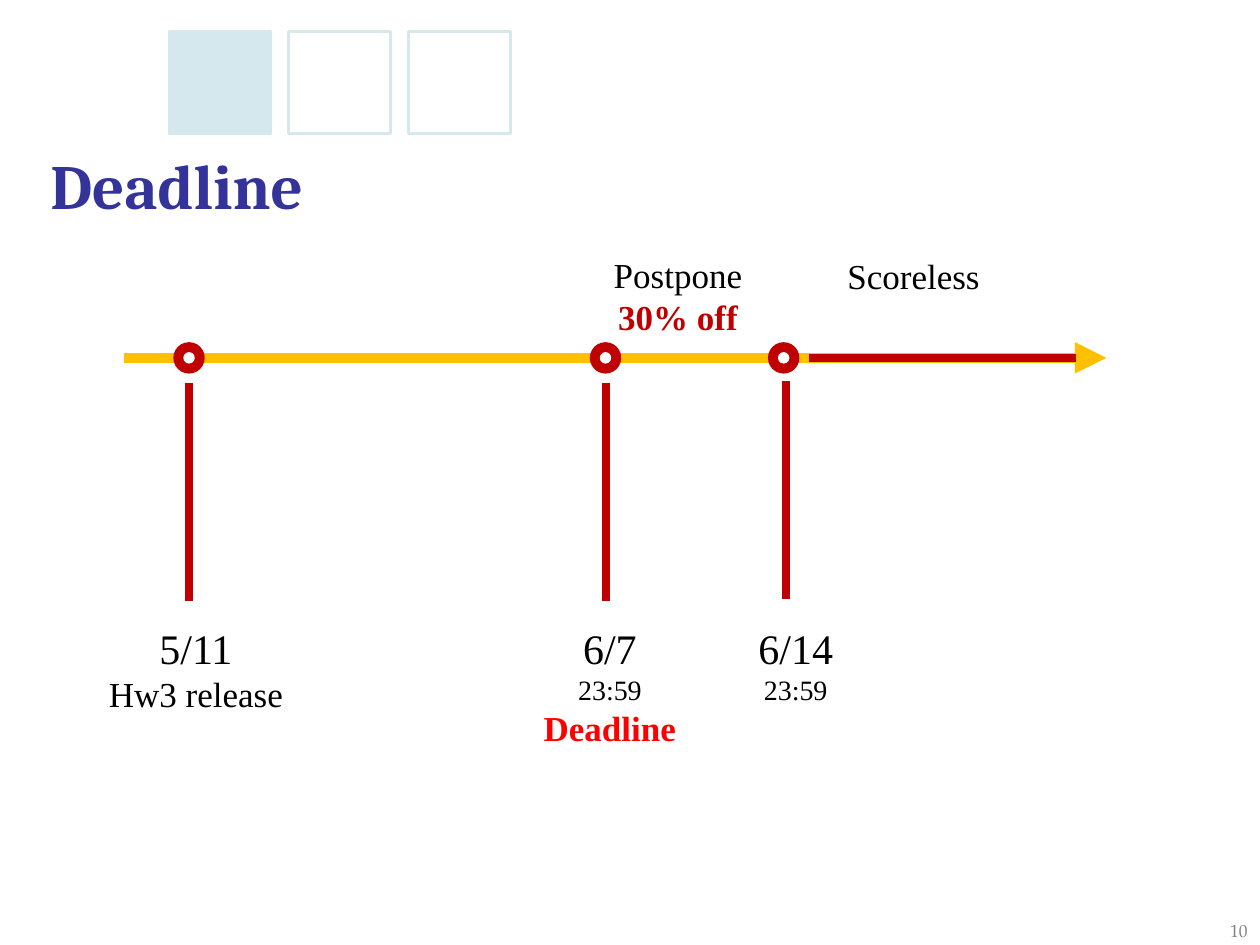
from copy import deepcopy

from lxml.etree import SubElement
from pptx import Presentation
from pptx.dml.color import RGBColor
from pptx.enum.shapes import MSO_CONNECTOR as CONN, MSO_SHAPE as SHAPE
from pptx.enum.text import MSO_ANCHOR as ANCHOR, PP_ALIGN as ALIGN
from pptx.oxml.ns import qn
from pptx.util import Pt

PALE = RGBColor(0xD5, 0xE8, 0xEE)
NAVY = RGBColor(0x33, 0x33, 0x99)
GRAY = RGBColor(0x80, 0x80, 0x80)
GOLD = RGBColor(0xFF, 0xC0, 0x00)
DARK_RED = RGBColor(0xC0, 0x00, 0x00)
RED = RGBColor(0xFF, 0x00, 0x00)
BLACK = RGBColor(0x00, 0x00, 0x00)
WHITE = RGBColor(0xFF, 0xFF, 0xFF)

TITLE_FONT = "Cambria"
NUMBER_FONT = "TeX Gyre Pagella"
BODY_FONT = "Times New Roman"


def add_run(p, text, size, color=BLACK, bold=False, font=BODY_FONT):
    r = p.add_run()
    r.text = text
    r.font.name = font
    r.font.size = Pt(size)
    r.font.bold = bold
    r.font.color.rgb = color
    return r


def add_break(p, r):
    p.add_line_break()
    p._p[-1].append(deepcopy(r._r.rPr))


def add_text(s, box, paragraphs, align=ALIGN.CENTER):
    tf = s.shapes.add_textbox(*map(Pt, box)).text_frame
    tf.word_wrap = True
    for i, runs in enumerate(paragraphs):
        p = tf.add_paragraph() if i else tf.paragraphs[0]
        p.alignment = align
        r = None
        for run in runs:
            if r is not None:
                add_break(p, r)
            r = add_run(p, *run)


def add_shape(s, kind, box, line, width, fill=None):
    sp = s.shapes.add_shape(kind, *map(Pt, box))
    sp.shadow.inherit = False
    if fill is None:
        sp.fill.background()
    else:
        sp.fill.solid()
        sp.fill.fore_color.rgb = fill
    sp.line.color.rgb = line
    sp.line.width = Pt(width)


def add_line(s, x1, y1, x2, y2, color, width, arrow=False):
    line = s.shapes.add_connector(CONN.STRAIGHT, Pt(x1), Pt(y1), Pt(x2), Pt(y2))
    line.line.color.rgb = color
    line.line.width = Pt(width)
    if arrow:
        SubElement(line.line._get_or_add_ln(), qn("a:tailEnd"), type="triangle")
    SubElement(line._element.spPr, qn("a:effectLst"))


def add_squares(s, left, top, size, pitch):
    for i, fill in enumerate((PALE, None, None)):
        add_shape(s, SHAPE.RECTANGLE, (left + i * pitch, top, size, size), PALE, 1.5, fill)


def add_title(s, left, top, width, height):
    title = s.shapes.title
    title.left, title.top, title.width, title.height = map(Pt, (left, top, width, height))
    tf = title.text_frame
    tf.margin_left = tf.margin_top = tf.margin_right = tf.margin_bottom = 0
    tf.vertical_anchor = ANCHOR.MIDDLE
    p = tf.paragraphs[0]
    p.alignment = ALIGN.LEFT
    p.line_spacing = 0.9
    add_run(p, "Deadline", 36, NAVY, True, TITLE_FONT)


def add_dot(s, x, y):
    for size, color in ((17.2, DARK_RED), (5.8, WHITE)):
        box = (x - size / 2, y - size / 2, size, size)
        add_shape(s, SHAPE.FLOWCHART_CONNECTOR, box, color, 0.75, color)


def add_timeline(s, left, top, width, height):
    axis_y = top + 63.4
    label_y = top + 211
    stem_height = 124.5
    milestones = (
        (108, 108, 219, (42.5, 139, 60.5),
         [[("5/11", 24)], [("Hw3 release", 20)]]),
        (346, 346.4, 219, (302.4, 92.2, 80),
         [[("6/7", 24)], [("23:59", 16), ("Deadline", 20, RED, True)]]),
        (447.8, 449.2, 218, (421.2, 67, 55.4),
         [[("6/14", 24)], [("23:59", 16)]]),
    )
    phases = (
        (337.7, top, 55.4, [[("Postpone", 20)], [("30% off", 20, DARK_RED, True)]]),
        (472.3, top + 0.7, 31.7, [[("Scoreless", 20)]]),
    )
    add_line(s, left, axis_y, left + width, axis_y, GOLD, 6, arrow=True)
    for dot_x, stem_x, stem_y, (label_x, label_w, label_h), label in milestones:
        add_dot(s, dot_x, axis_y)
        add_text(s, (label_x, label_y, label_w, label_h), label)
        add_line(s, stem_x, stem_y, stem_x, stem_y + stem_height, DARK_RED, 4.5)
    add_line(s, 462.3, axis_y, 615, axis_y, DARK_RED, 4.5)
    for x, y, h, label in phases:
        add_text(s, (x, y, 99.4, h), label)


def main():
    prs = Presentation()
    prs.slide_width, prs.slide_height = Pt(720), Pt(540)
    s = prs.slides.add_slide(prs.slide_layouts[5])
    add_squares(s, 96.5, 18, 58.3, 68.4)
    add_title(s, 28.8, 77, 653, 62)
    add_text(s, (683.3, 522, 36.7, 18), [[("10", 10, GRAY, False, NUMBER_FONT)]], ALIGN.RIGHT)
    add_timeline(s, 70.6, 141.1, 561.6, 291)
    prs.save("out.pptx")


if __name__ == "__main__":
    main()
